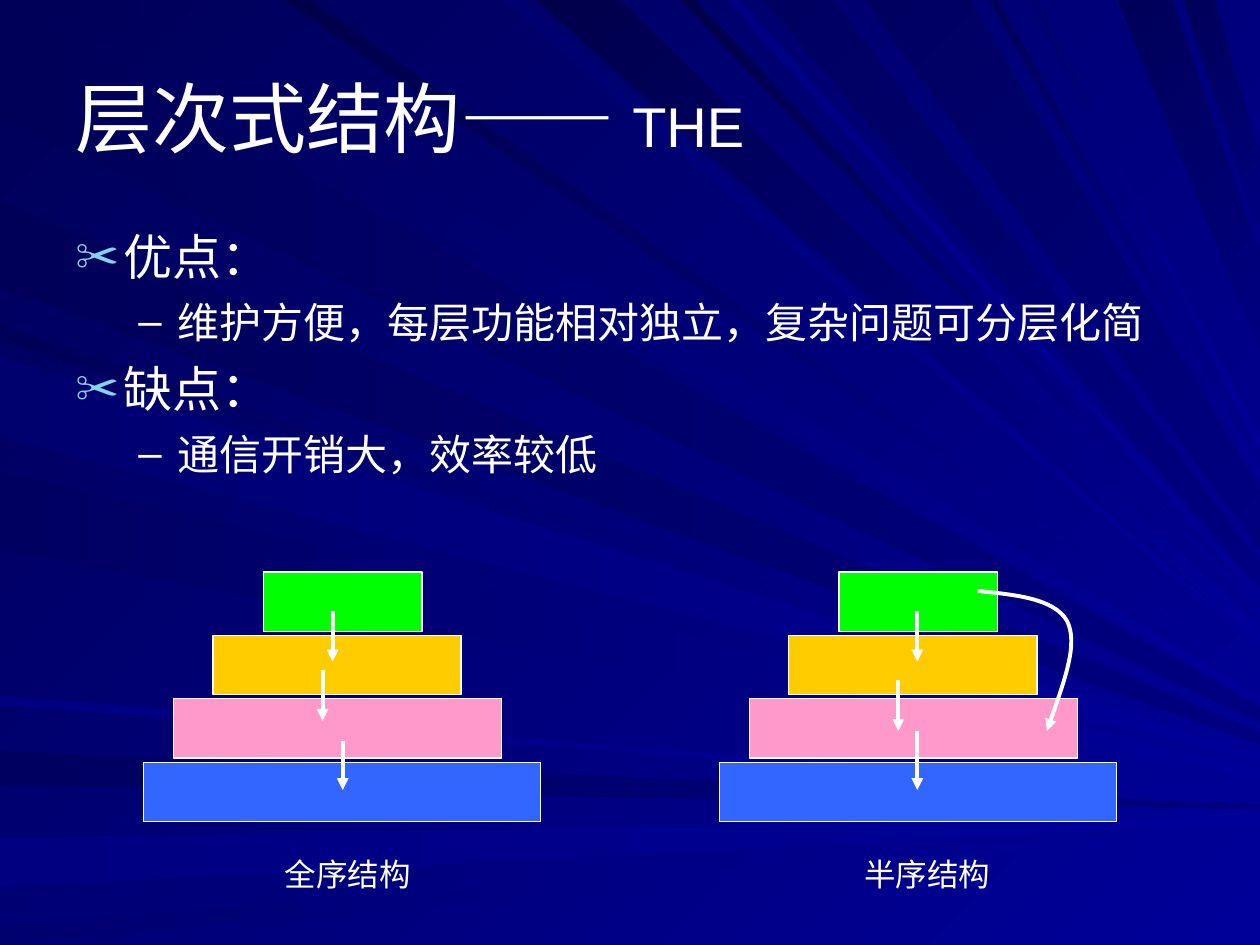
from lxml import etree
from pptx import Presentation
from pptx.dml.color import RGBColor
from pptx.enum.shapes import MSO_CONNECTOR, MSO_SHAPE
from pptx.enum.text import MSO_ANCHOR, MSO_AUTO_SIZE, PP_ALIGN
from pptx.oxml.ns import qn
from pptx.util import Inches, Pt

STRAIGHT, RECT = MSO_CONNECTOR.STRAIGHT, MSO_SHAPE.RECTANGLE
LEFT, CENTER, MIDDLE = PP_ALIGN.LEFT, PP_ALIGN.CENTER, MSO_ANCHOR.MIDDLE
NO_FIT = MSO_AUTO_SIZE.NONE

FONT = "Arial"
WHITE = RGBColor(0xFF, 0xFF, 0xFF)
SKY = RGBColor(0x86, 0xD1, 0xEC)
GREEN = RGBColor(0x00, 0xFF, 0x00)
AMBER = RGBColor(0xFF, 0xCC, 0x00)
PINK = RGBColor(0xFF, 0x99, 0xCC)
BLUE = RGBColor(0x33, 0x66, 0xFF)
BLACKISH = RGBColor(0x00, 0x00, 0x4A)
NIGHT = RGBColor(0x00, 0x00, 0x58)
DUSK = RGBColor(0x00, 0x00, 0x61)
MARINE = RGBColor(0x00, 0x00, 0x6F)
NAVY = RGBColor(0x00, 0x00, 0x80)
ROYAL = RGBColor(0x00, 0x00, 0x99)

WIDTH, HEIGHT = 10, 7.5

# Background rays run from an edge towards one vanishing point, cut at the right side:
# start and end on the edge, first and last colour
VANISHING_X, VANISHING_Y = 11.5, 6.45
LEFT_RAYS = [
    (0.02, 0.93, NIGHT, NAVY), (5.96, 6.23, DUSK, NAVY), (6.65, 7.04, NAVY, ROYAL),
    (7.35, 7.5, MARINE, ROYAL), (1.59, 2.28, NIGHT, NAVY), (2.58, 2.7, NIGHT, ROYAL),
    (3.74, 4.37, DUSK, ROYAL), (5.52, 5.6, NAVY, ROYAL), (2.83, 3.47, MARINE, ROYAL),
]
TOP_RAYS = [
    (0.26, 1.01, NIGHT, ROYAL), (2.25, 2.47, BLACKISH, ROYAL), (3.98, 4.16, MARINE, ROYAL),
    (4.26, 4.92, BLACKISH, ROYAL), (5.4, 5.52, BLACKISH, ROYAL), (5.77, 5.88, NAVY, ROYAL),
    (6.06, 6.61, DUSK, NAVY), (6.86, 7.7, DUSK, NAVY), (7.85, 7.92, NIGHT, ROYAL),
    (8.15, 8.24, MARINE, ROYAL), (8.87, 9.3, NIGHT, NAVY), (9.39, 9.64, NIGHT, NAVY),
]

# Layers of a stack: offset from the stack's left, width, colour
LAYERS = [(0.95, 1.26, GREEN), (0.55, 1.97, AMBER), (0.24, 2.6, PINK), (0, 3.15, BLUE)]
LAYER_TOP, LAYER_HEIGHT, LAYER_PITCH = 4.54, 0.47, 1.51 / 3

# Stacks: left, caption, caption left and width, arrows as (x, top, bottom)
STACKS = [
    (1.14, "全序结构", 1.46, 2.6, [(2.64, 4.85, 5.25), (2.56, 5.32, 5.72), (2.72, 5.88, 6.27)]),
    (5.71, "半序结构", 6.1, 2.52, [(7.28, 4.85, 5.25), (7.13, 5.4, 5.8), (7.28, 5.8, 6.27)]),
]
SKIP_CURVE = [(7.76, 4.69), (8.06, 4.72), (8.37, 4.75), (8.47, 4.93),
              (8.56, 5.11), (8.43, 5.45), (8.31, 5.8)]

# Body lines: level, text
POINTS = [
    (0, "优点："),
    (1, "维护方便，每层功能相对独立，复杂问题可分层化简"),
    (0, "缺点："),
    (1, "通信开销大，效率较低"),
]
# Per level: left margin, hanging, size, space before, bullet, its size and colour
LEVELS = [(0.38, 0.38, 28, 7, "✂", 90, SKY), (0.81, 0.31, 24, 6, "–", 100, WHITE)]


def set_gradient(fill, first, last, angle):
    fill.gradient()
    fill.gradient_angle = (360 - angle) % 360
    for stop, color in zip(fill.gradient_stops, (first, last)):
        stop.color.rgb = color


def add_outline(shapes, points, close):
    start, *rest = [(Inches(x), Inches(y)) for x, y in points]
    builder = shapes.build_freeform(*start)
    builder.add_line_segments(rest, close=close)
    sp = builder.convert_to_shape()
    sp.shadow.inherit = False
    return sp


def right_end(x, y):
    share = (WIDTH - x) / (VANISHING_X - x)
    return WIDTH, y + (VANISHING_Y - y) * share


def add_ray(shapes, start, end, first, last, angle):
    points = [start, right_end(*start), right_end(*end), end]
    sp = add_outline(shapes, points, True)
    sp.line.fill.background()
    set_gradient(sp.fill, first, last, angle)


def add_rays(s):
    group = s.shapes.add_group_shape()
    for y1, y2, first, last in LEFT_RAYS:
        add_ray(group.shapes, (0, y1), (0, y2), first, last, 0)
    for x1, x2, first, last in TOP_RAYS:
        add_ray(group.shapes, (x1, 0), (x2, 0), first, last, 45)
    s.shapes._spTree.insert(2, group._element)  # behind the title


def add_run(p, text, size):
    r = p.add_run()
    r.text = text
    r.font.name, r.font.size = FONT, Pt(size)
    r.font.color.rgb = WHITE


def add_textbox(s, left, top, width, height):
    tf = s.shapes.add_textbox(*map(Inches, (left, top, width, height))).text_frame
    tf.word_wrap = True
    return tf


def set_bullet(p, margin, hanging, char, percent, color):
    pPr = p._p.get_or_add_pPr()
    pPr.set("marL", str(Inches(margin)))
    pPr.set("indent", str(-Inches(hanging)))
    bu_color = etree.SubElement(pPr, qn("a:buClr"))
    etree.SubElement(bu_color, qn("a:srgbClr"), val=str(color))
    etree.SubElement(pPr, qn("a:buSzPct"), val=str(percent * 1000))
    etree.SubElement(pPr, qn("a:buFont"), typeface=FONT)
    etree.SubElement(pPr, qn("a:buChar"), char=char)


def set_title(s):
    title = s.shapes.title
    title.left, title.top, title.width, title.height = map(Inches, (0.5, 0.3, 9, 1.25))
    tf = title.text_frame
    tf.vertical_anchor, tf.auto_size = MIDDLE, NO_FIT
    p = tf.paragraphs[0]
    p.alignment = LEFT
    add_run(p, "层次式结构—— ", 44)
    add_run(p, "THE", 32)


def add_points(s):
    tf = add_textbox(s, 0.5, 1.75, 9, 2.24)
    for i, (level, text) in enumerate(POINTS):
        margin, hanging, size, before, char, percent, color = LEVELS[level]
        p = tf.add_paragraph() if i else tf.paragraphs[0]
        set_bullet(p, margin, hanging, char, percent, color)
        p.level = level
        p.space_before = Pt(before if i else 0)
        add_run(p, text, size)


def style_arrow(shape):
    shape.line.color.rgb = WHITE
    shape.line.width = Pt(2.25)
    etree.SubElement(shape.line._get_or_add_ln(), qn("a:tailEnd"), type="triangle")


def add_arrow(s, x, top, bottom):
    line = s.shapes.add_connector(STRAIGHT, Inches(x), Inches(top), Inches(x), Inches(bottom))
    style_arrow(line)
    etree.SubElement(line._element.spPr, qn("a:effectLst"))


def add_curved_arrow(s, points):
    sp = add_outline(s.shapes, points, False)
    sp.fill.background()
    style_arrow(sp)
    # Every three segments become one Bézier curve
    segments = list(sp._element.iter(qn("a:lnTo")))
    outline = segments[0].getparent()
    for i in range(0, len(segments), 3):
        curve = etree.SubElement(outline, qn("a:cubicBezTo"))
        for segment in segments[i:i + 3]:
            curve.append(segment[0])
            outline.remove(segment)


def add_stack(s, left, caption, caption_left, caption_width, arrows):
    for i, (offset, width, color) in enumerate(LAYERS):
        sp = s.shapes.add_shape(RECT, Inches(left + offset), Inches(LAYER_TOP + i * LAYER_PITCH),
                                Inches(width), Inches(LAYER_HEIGHT))
        sp.shadow.inherit = False
        sp.fill.solid()
        sp.fill.fore_color.rgb = color
        sp.line.color.rgb, sp.line.width = WHITE, Pt(0.75)
    p = add_textbox(s, caption_left, 6.74, caption_width, 0.4).paragraphs[0]
    p.alignment = CENTER
    add_run(p, caption, 18)
    for arrow in arrows:
        add_arrow(s, *arrow)


def main():
    prs = Presentation()
    prs.slide_width, prs.slide_height = Inches(WIDTH), Inches(HEIGHT)
    s = prs.slides.add_slide(prs.slide_layouts[5])
    # Backdrop
    set_gradient(s.background.fill, NIGHT, ROYAL, 45)
    add_rays(s)
    # Text
    set_title(s)
    add_points(s)
    # Layer diagrams
    for stack in STACKS:
        add_stack(s, *stack)
    add_curved_arrow(s, SKIP_CURVE)
    prs.save("out.pptx")


if __name__ == "__main__":
    main()
